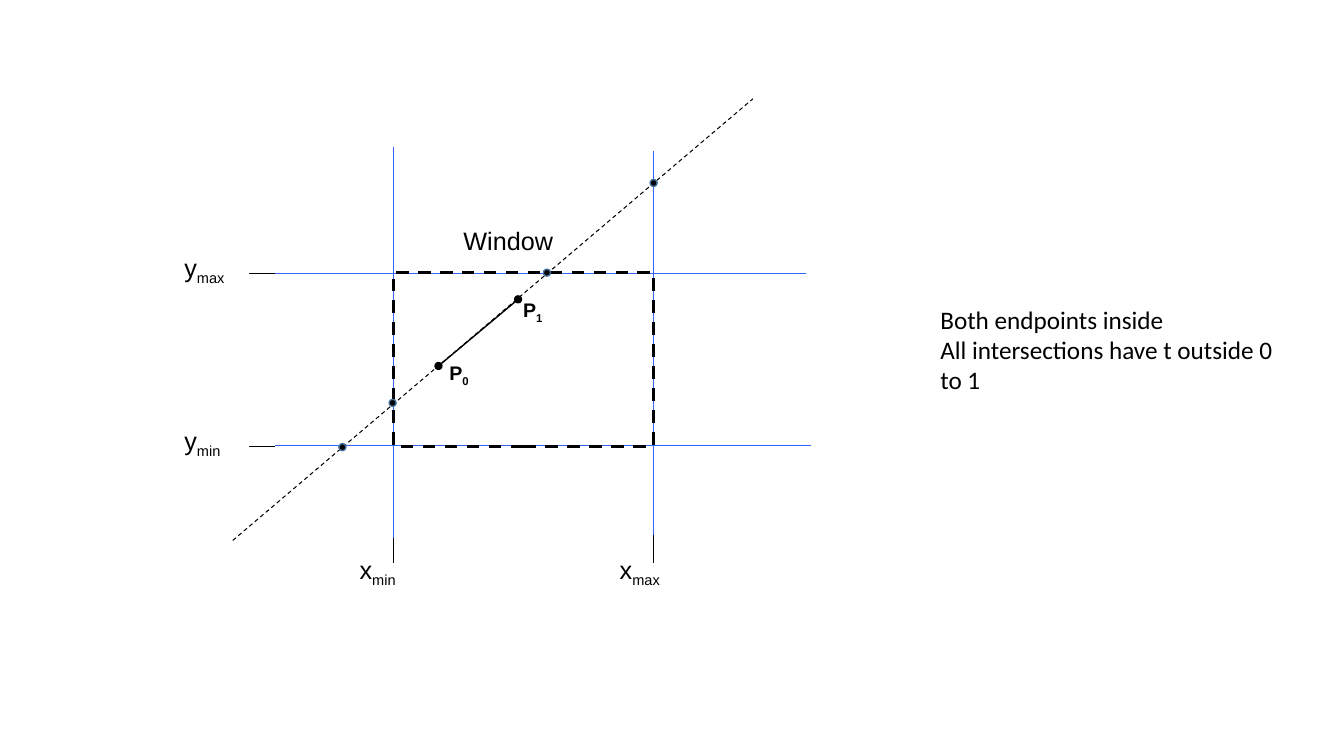
from dataclasses import dataclass

from lxml.etree import SubElement
from pptx import Presentation
from pptx.dml.color import RGBColor
from pptx.enum.dml import MSO_LINE
from pptx.enum.shapes import MSO_CONNECTOR as Link, MSO_SHAPE as Shape
from pptx.enum.text import MSO_AUTO_SIZE as Fit
from pptx.oxml.ns import qn
from pptx.util import Pt

BLACK = RGBColor(0, 0, 0)
BLUE = RGBColor(0x33, 0x66, 0xFF)
STEEL = RGBColor(0x42, 0x71, 0x9B)

LEFT, RIGHT = 280.8, 466.56
TOP, BASE = 195.12, 318.24
DOT = 5


@dataclass
class Line:
    x1: float
    y1: float
    x2: float
    y2: float
    color: RGBColor = BLACK
    width: float = 0.75
    dash: bool = False
    ends: bool = False


@dataclass
class Label:
    x: float
    y: float
    w: float
    h: float
    text: str
    sub: str = ""
    size: int = 18
    bold: bool = False
    face: str = "Arial"


EDGES = [
    Line(LEFT, 105, LEFT, 386, BLUE),
    Line(RIGHT, 108, RIGHT, 389, BLUE),
    Line(576, TOP, 192, TOP, BLUE),
    Line(579.6, BASE, 196.5, BASE, BLUE),
]
TICKS = [
    Line(196.5, TOP, 178, TOP),
    Line(196.5, 319, 178, 319),
    Line(LEFT, 384, LEFT, 402.5),
    Line(RIGHT, 382.5, RIGHT, 402.5),
]
RAY = Line(166.3, 386, 537.8, 70.6, dash=True)
SEGMENT = Line(313.2, 261.4, 370.1, 213.8, width=1, ends=True)
CROSSES = [(244.6, 319.4), (280.5, 287.8), (390.7, 194.8), (466.9, 130.7)]
NAMES = [
    Label(124.6, 176.4, 52.6, 29, "y", "max"),
    Label(124.6, 300.2, 48.2, 29, "y", "min"),
    Label(249.8, 392.4, 48.2, 29, "x", "min"),
    Label(435.6, 392.4, 52.6, 29, "x", "max"),
    Label(324, 157.7, 88.6, 29, "Window"),
    Label(366.5, 209.5, 29.5, 24.5, "P", "1", 14, True),
    Label(313.9, 254.2, 29.5, 24.5, "P", "0", 14, True),
]
NOTE = Label(664.6, 213.8, 260.6, 72.7,
             "Both endpoints inside\nAll intersections have t outside 0 to 1",
             face="Calibri")


def draw_line(slide, line: Line) -> None:
    link = slide.shapes.add_connector(
        Link.STRAIGHT, Pt(line.x1), Pt(line.y1), Pt(line.x2), Pt(line.y2))
    link.line.color.rgb = line.color
    link.line.width = Pt(line.width)
    if line.dash:
        link.line.dash_style = MSO_LINE.DASH
    props = link._element.spPr
    if line.ends:
        for end in ("a:headEnd", "a:tailEnd"):
            SubElement(props.find(qn("a:ln")), qn(end), type="oval")
    SubElement(props, qn("a:effectLst"))


def draw_label(slide, label: Label) -> None:
    box = slide.shapes.add_textbox(
        Pt(label.x), Pt(label.y), Pt(label.w), Pt(label.h))
    frame = box.text_frame
    frame.word_wrap = True
    frame.auto_size = Fit.SHAPE_TO_FIT_TEXT
    frame.text = label.text
    if label.sub:
        run = frame.paragraphs[0].add_run()
        run.text = label.sub
        run._r.get_or_add_rPr().set("baseline", "-25000")
    for para in frame.paragraphs:
        para.font.name = label.face
        para.font.size = Pt(label.size)
        para.font.bold = label.bold
        para.font.color.rgb = BLACK


def draw_window(slide) -> None:
    pane = slide.shapes.add_shape(
        Shape.RECTANGLE, Pt(LEFT), Pt(194.4), Pt(RIGHT - LEFT), Pt(124.5))
    pane.shadow.inherit = False
    pane.fill.background()
    pane.line.color.rgb = BLACK
    pane.line.width = Pt(2.25)
    pane.line.dash_style = MSO_LINE.DASH


def draw_dot(slide, x: float, y: float) -> None:
    dot = slide.shapes.add_shape(
        Shape.OVAL, Pt(x - DOT / 2), Pt(y - DOT / 2), Pt(DOT), Pt(DOT))
    dot.shadow.inherit = False
    dot.fill.solid()
    dot.fill.fore_color.rgb = BLACK
    dot.line.color.rgb = STEEL
    dot.line.width = Pt(1)


def main() -> None:
    deck = Presentation()
    deck.slide_width, deck.slide_height = Pt(960), Pt(540)
    slide = deck.slides.add_slide(deck.slide_layouts[6])
    for edge in EDGES:
        draw_line(slide, edge)
    draw_window(slide)
    for line in [*TICKS, RAY]:
        draw_line(slide, line)
    for name in NAMES:
        draw_label(slide, name)
    for x, y in CROSSES:
        draw_dot(slide, x, y)
    draw_line(slide, SEGMENT)
    draw_label(slide, NOTE)
    deck.save("out.pptx")


if __name__ == "__main__":
    main()
